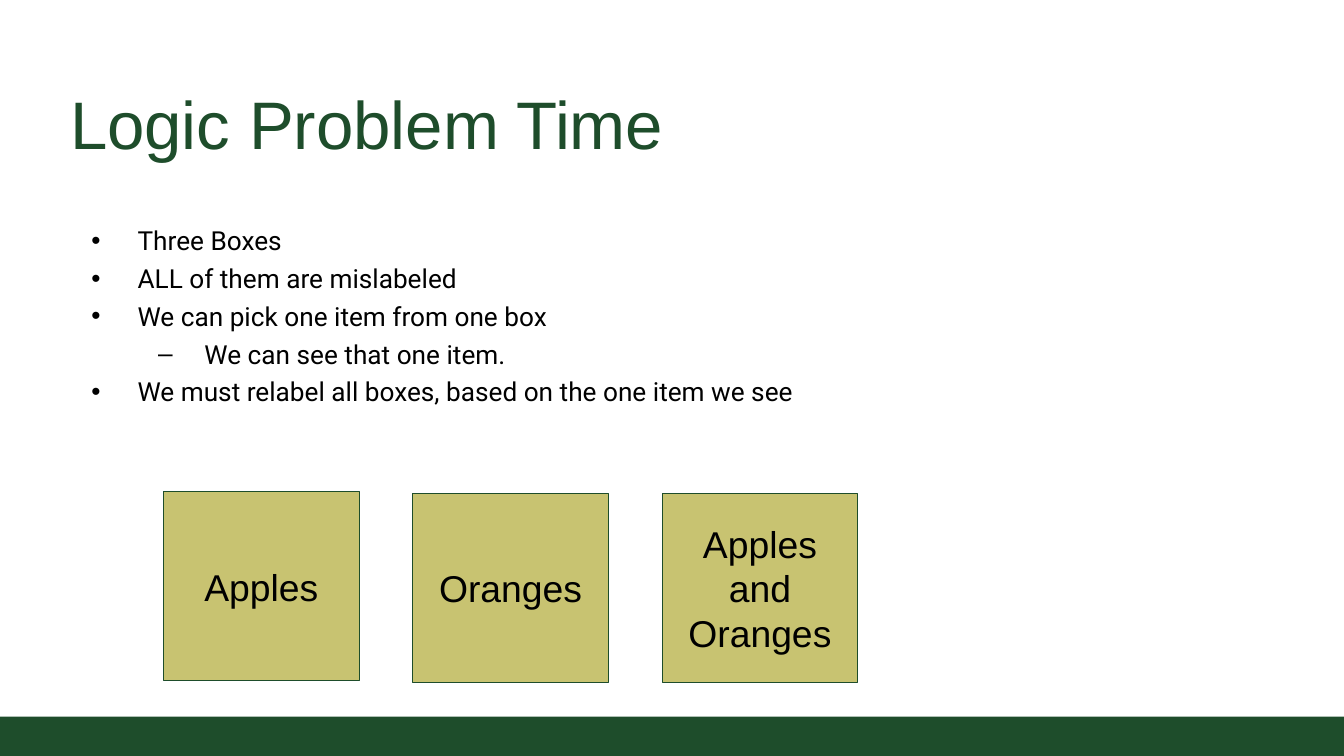
import pptx
import pptx.dml.color
import pptx.enum.shapes
import pptx.enum.text
import pptx.oxml
import pptx.oxml.ns
import pptx.util

Cm = pptx.util.Cm
Pt = pptx.util.Pt
Align = pptx.enum.text.PP_ALIGN
Anchor = pptx.enum.text.MSO_ANCHOR

HUES = {"green": "1E4D2B", "gold": "C8C371", "black": "000000"}
WIDE, HIGH = 38.38, 21.59
LEFT, SPAN = 1.75, 34.9
HANG = 1.32
MARKS = [("•", 1.93), ("–", 3.84)]

POINTS = [
    ("Three Boxes", 0),
    ("ALL of them are mislabeled", 0),
    ("We can pick one item from one box", 0),
    ("We can see that one item.", 1),
    ("We must relabel all boxes, based on the one item we see", 0),
]
CRATES = [("Apples", 14.05), ("Oranges", 14.1), ("Apples and Oranges", 14.1)]


def hue(name):
    return pptx.dml.color.RGBColor.from_string(HUES[name])


def apply(item, looks):
    for key, value in looks.items():
        setattr(item, key, value)


class Deck:
    """Holds the text style and the current slide, and adds each kind of element."""

    def __init__(self):
        self.show = pptx.Presentation()
        apply(self.show, {"slide_width": Cm(WIDE), "slide_height": Cm(HIGH)})
        self.slide = self.show.slides.add_slide(self.show.slide_layouts[5])
        self.frame = {"word_wrap": True, "auto_size": pptx.enum.text.MSO_AUTO_SIZE.NONE}

    def setup(self, shape, pad, anchor):
        frame = shape.text_frame
        sides = ("left", "top", "right", "bottom")
        pads = {f"margin_{side}": Cm(pad) for side in sides}
        apply(frame, {**self.frame, **pads, "vertical_anchor": anchor})
        return frame

    def label(self, para, text, size, face, tone, align=Align.LEFT):
        para.alignment = align
        run = para.add_run()
        run.text = text
        apply(run.font, {"size": Pt(size), "name": face})
        run.font.color.rgb = hue(tone)

    def title(self, text, box):
        shape = self.slide.shapes.title
        apply(shape, dict(zip(("left", "top", "width", "height"), map(Cm, box))))
        frame = self.setup(shape, 0.25, Anchor.BOTTOM)
        self.label(frame.paragraphs[0], text, 54.4, "Arial", "green")

    def bullet(self, para, level):
        mark, edge = MARKS[level]
        props = para._p.get_or_add_pPr()
        props.set("marL", str(Cm(edge)))
        props.set("indent", str(-Cm(HANG)))
        space = pptx.oxml.ns.nsdecls("a")
        for xml in (
            f'<a:buClr {space}><a:srgbClr val="{HUES["black"]}"/></a:buClr>',
            f'<a:buFont {space} typeface="Arial"/>',
            f'<a:buChar {space} char="{mark}"/>',
        ):
            props.append(pptx.oxml.parse_xml(xml))

    def points(self, items, box):
        shape = self.slide.shapes.add_textbox(*map(Cm, box))
        frame = self.setup(shape, 0.25, Anchor.TOP)
        for spot, (text, level) in enumerate(items):
            para = frame.add_paragraph() if spot else frame.paragraphs[0]
            gap = Pt(0 if spot else 6)
            apply(para, {"level": level, "line_spacing": 1.2, "space_before": gap})
            self.bullet(para, level)
            self.label(para, text, 21.2, "Roboto", "black")

    def block(self, box, fill, line=None, text=None):
        kind = pptx.enum.shapes.MSO_SHAPE.RECTANGLE
        shape = self.slide.shapes.add_shape(kind, *map(Cm, box))
        shape.shadow.inherit = False
        shape.fill.solid()
        shape.fill.fore_color.rgb = hue(fill)
        if line:
            shape.line.color.rgb = hue(line)
            shape.line.width = Pt(0.75)
        else:
            shape.line.fill.background()
        if text:
            frame = self.setup(shape, 0.38, Anchor.MIDDLE)
            self.label(frame.paragraphs[0], text, 30.2, "Arial", "black", Align.CENTER)


def main():
    deck = Deck()
    deck.block((0, 20.47, WIDE, HIGH - 20.47), "green")
    deck.title("Logic Problem Time", (LEFT, 2.08, SPAN, 2.82))
    deck.points(POINTS, (LEFT, 5.99, SPAN, 5.59))
    for spot, (text, top) in enumerate(CRATES):
        deck.block((4.67 + 7.12 * spot, top, 5.59, 5.38), "gold", "green", text)
    deck.show.save("out.pptx")


if __name__ == "__main__":
    main()
